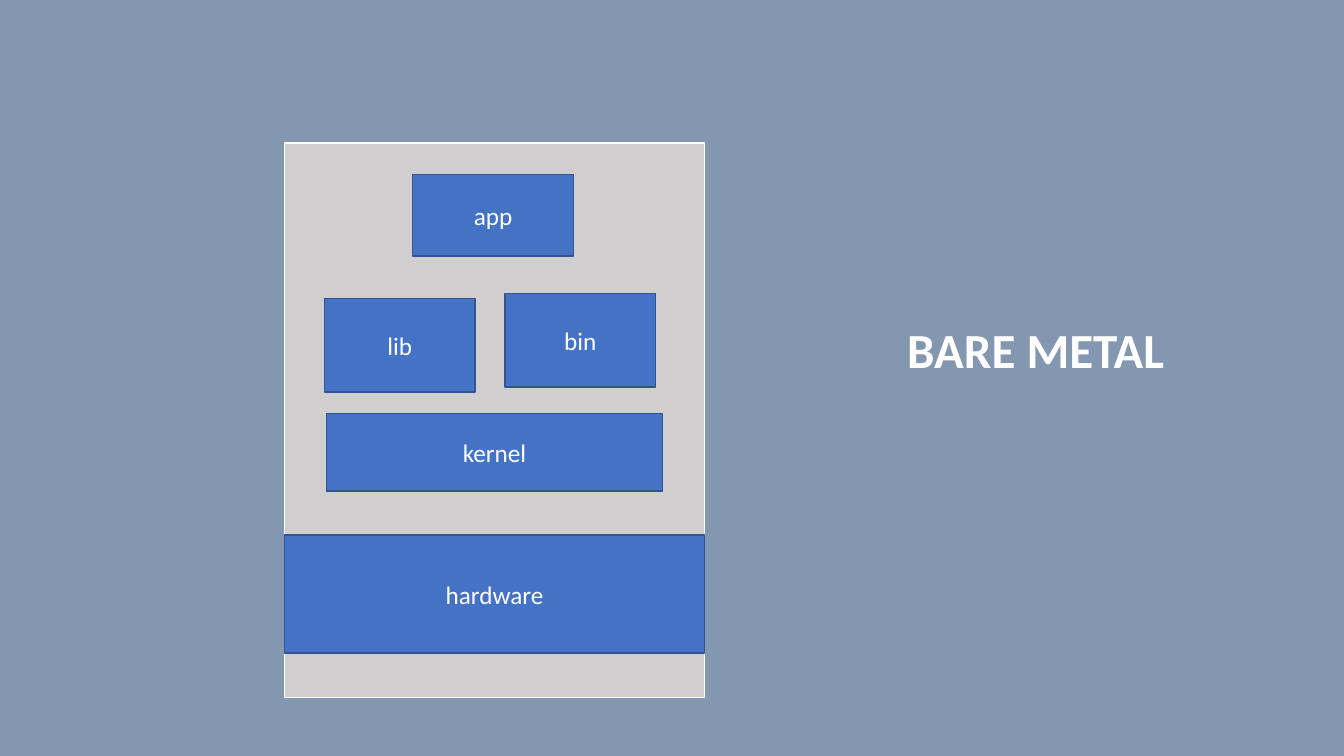
from dataclasses import dataclass

from pptx import Presentation
from pptx.dml.color import RGBColor
from pptx.enum.shapes import MSO_SHAPE
from pptx.enum.text import MSO_ANCHOR, MSO_AUTO_SIZE, PP_ALIGN
from pptx.slide import Slide
from pptx.text.text import TextFrame
from pptx.util import Inches, Pt

SLATE = RGBColor(0x84, 0x97, 0xB0)
GREY = RGBColor(0xD0, 0xCE, 0xCE)
BLUE = RGBColor(0x44, 0x72, 0xC4)
NAVY = RGBColor(0x32, 0x54, 0x91)
WHITE = RGBColor(0xFF, 0xFF, 0xFF)


@dataclass(frozen=True)
class Layer:
    label: str
    left: float
    top: float
    width: float
    height: float
    fill: RGBColor = BLUE
    outline: RGBColor = NAVY


MACHINE_LEFT, MACHINE_WIDTH = 2.82, 4.17
LAYERS = (
    Layer("", MACHINE_LEFT, 1.42, MACHINE_WIDTH, 5.5, GREY, WHITE),
    Layer("app", 4.09, 1.73, 1.6, 0.81),
    Layer("lib", 3.22, 2.96, 1.49, 0.93),
    Layer("bin", 5.01, 2.91, 1.49, 0.93),
    Layer("kernel", 3.24, 4.1, 3.33, 0.77),
    Layer("hardware", MACHINE_LEFT, 5.31, MACHINE_WIDTH, 1.17),
)


def write(frame: TextFrame, text: str, size: float, bold: bool = False) -> None:
    run = frame.paragraphs[0].add_run()
    run.text = text
    font_format = {"name": "Calibri", "size": Pt(size), "bold": bold}
    for attribute, value in font_format.items():
        setattr(run.font, attribute, value)
    run.font.color.rgb = WHITE


def draw_layer(slide: Slide, layer: Layer) -> None:
    box = slide.shapes.add_shape(
        MSO_SHAPE.RECTANGLE, Inches(layer.left), Inches(layer.top),
        Inches(layer.width), Inches(layer.height))
    box.shadow.inherit = False
    box.fill.solid()
    box.fill.fore_color.rgb = layer.fill
    box.line.color.rgb = layer.outline
    box.line.width = Pt(1)
    if layer.label:
        box.text_frame.vertical_anchor = MSO_ANCHOR.MIDDLE
        box.text_frame.paragraphs[0].alignment = PP_ALIGN.CENTER
        write(box.text_frame, layer.label, 18)


def draw_heading(slide: Slide) -> None:
    heading = slide.shapes.add_textbox(
        Inches(8.9), Inches(3.12), Inches(3.23), Inches(0.69)).text_frame
    heading.word_wrap = True
    heading.auto_size = MSO_AUTO_SIZE.SHAPE_TO_FIT_TEXT
    write(heading, "BARE METAL", 35, bold=True)


def main() -> None:
    deck = Presentation()
    deck.slide_width, deck.slide_height = Inches(13.33), Inches(7.5)
    slide = deck.slides.add_slide(deck.slide_layouts[6])
    slide.background.fill.solid()
    slide.background.fill.fore_color.rgb = SLATE
    draw_heading(slide)
    for layer in LAYERS:
        draw_layer(slide, layer)
    deck.save("out.pptx")


if __name__ == "__main__":
    main()
